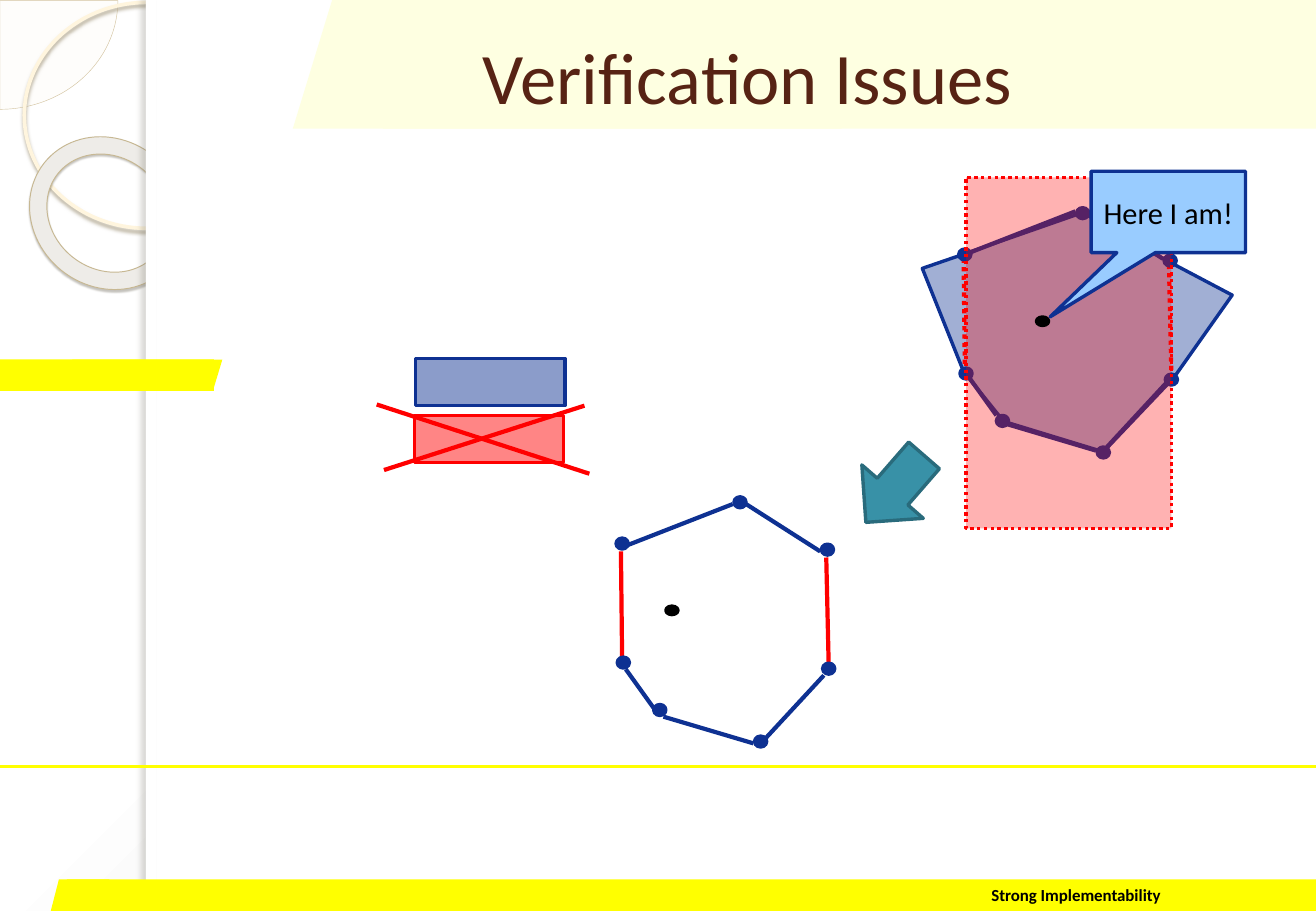
from lxml.etree import SubElement
from pptx import Presentation
from pptx.dml.color import RGBColor
from pptx.enum.dml import MSO_LINE
from pptx.enum.shapes import MSO_CONNECTOR, MSO_SHAPE
from pptx.enum.text import MSO_ANCHOR, PP_ALIGN
from pptx.oxml.ns import qn
from pptx.util import Inches, Pt

WHITE = RGBColor(0xFF, 0xFF, 0xFF)
BLACK = RGBColor(0, 0, 0)
GRAY = RGBColor(0xC5, 0xC5, 0xC5)
YELLOW = RGBColor(0xFF, 0xFF, 0)
RED = RGBColor(0xFF, 0, 0)
NAVY = RGBColor(0x0E, 0x31, 0x92)
SKY = RGBColor(0x99, 0xCC, 0xFF)
TEAL = RGBColor(0x38, 0x91, 0xA7)
DARK_TEAL = RGBColor(0x29, 0x6B, 0x7C)
IVORY = RGBColor(0xFE, 0xFF, 0xE1)
BROWN = RGBColor(0x57, 0x23, 0x14)
CREAM = RGBColor(0xFE, 0xFA, 0xF4)
TAN = RGBColor(0xD3, 0xC3, 0x9F)
RING = RGBColor(0xFF, 0xF5, 0xDE)
DONUT = RGBColor(0xEE, 0xEC, 0xE8)
DONUT_LINE = RGBColor(0xC7, 0xB8, 0x93)

prs = Presentation()
prs.slide_width, prs.slide_height = Inches(10.83), Inches(7.5)
s = prs.slides.add_slide(prs.slide_layouts[6])


def add_shape(kind, x, y, w, h, fill=None, line=None, width=2, alpha=None,
              adj=(), rot=0, shadow=None):
    sp = s.shapes.add_shape(kind, Inches(x), Inches(y), Inches(w), Inches(h))
    sp.rotation = rot
    for i, value in enumerate(adj):
        sp.adjustments[i] = value
    if fill is None:
        sp.fill.background()
    else:
        sp.fill.solid()
        sp.fill.fore_color.rgb = fill
    if alpha:
        color = sp.element.spPr.find(qn("a:solidFill"))[0]
        SubElement(color, qn("a:alpha"), val=str(alpha * 1000))
    if line is None:
        sp.line.fill.background()
    else:
        sp.line.color.rgb = line
        sp.line.width = Pt(width)
    sp.shadow.inherit = False
    if shadow:
        tone, opacity, blur, dist, angle = shadow
        effects = sp.element.spPr.find(qn("a:effectLst"))
        outer = SubElement(effects, qn("a:outerShdw"), blurRad=str(Pt(blur)),
                           dist=str(Pt(dist)), dir=str(angle * 60000),
                           algn="ctr", rotWithShape="0")
        color = SubElement(outer, qn("a:srgbClr"), val=tone)
        SubElement(color, qn("a:alpha"), val=str(opacity * 1000))
    return sp


def add_line(x1, y1, x2, y2, color, width=2.5):
    ln = s.shapes.add_connector(MSO_CONNECTOR.STRAIGHT, Inches(x1), Inches(y1),
                                Inches(x2), Inches(y2))
    ln.line.color.rgb = color
    ln.line.width = Pt(width)
    SubElement(ln.element.spPr, qn("a:effectLst"))
    return ln


bg = s.background.fill
bg.gradient()
bg.gradient_stops[0].color.rgb = WHITE
bg.gradient_stops[0].position = 0.4
bg.gradient_stops[1].color.rgb = GRAY
bg.gradient_stops[1].position = 1
grad = next(s.element.iter(qn("a:gradFill")))
grad.remove(grad.find(qn("a:lin")))
focus = SubElement(grad, qn("a:path"), path="circle")
SubElement(focus, qn("a:fillToRect"), l="-24000", t="-20000", r="124000", b="120000")

add_shape(MSO_SHAPE.PIE, -0.97, -0.89, 1.94, 1.79, CREAM, TAN, 0.25, 33, (0, 54))
add_shape(MSO_SHAPE.OVAL, 0.2, 0.02, 2.02, 1.86, None, RING, 2.15,
          shadow=("B0A68F", 85, 2, 2, 90))
add_shape(MSO_SHAPE.DONUT, 0.22, 1.15, 1.33, 1.21, DONUT, DONUT_LINE, 0.58,
          adj=(0.118,), rot=38.6, shadow=("5A5444", 35, 1, 1.2, 75))
add_shape(MSO_SHAPE.RECTANGLE, 1.2, 0, 9.63, 7.5, WHITE)
add_shape(MSO_SHAPE.RECTANGLE, 1.2, 0, 0.09, 7.5, WHITE,
          shadow=("736F63", 25, 3, 3, 180))

bands = [
    ((3.15, 0, 7.68, 1.06), (2.41, 0, 4.84, 1.06), 0.306, IVORY),
    ((0, 2.96, 1.76, 0.26), (0.52, 2.96, 1.31, 0.25), 0.301, YELLOW),
    ((0.55, 7.24, 10.28, 0.26), (0.41, 7.24, 0.49, 0.29), 0.259, YELLOW),
]
for bar, slant, skew, color in bands:
    add_shape(MSO_SHAPE.RECTANGLE, *bar, color)
    add_shape(MSO_SHAPE.PARALLELOGRAM, *slant, color, adj=(skew,))
add_line(0, 6.31, 10.83, 6.31, YELLOW, 2.25)

outline = [(8.91, 1.75), (7.91, 2.1), (7.59, 2.21), (7.93, 3.06), (8.26, 3.47),
           (9.08, 3.72), (9.66, 3.11), (10.14, 2.43), (9.61, 2.15)]
corners = [(Inches(x), Inches(y)) for x, y in outline]
builder = s.shapes.build_freeform(*corners[0])
builder.add_line_segments(corners[1:], close=True)
region = builder.convert_to_shape()
region.fill.solid()
region.fill.fore_color.rgb = NAVY
SubElement(region.element.spPr.find(qn("a:solidFill"))[0], qn("a:alpha"), val="39000")
region.line.color.rgb = NAVY
region.line.width = Pt(2)
region.shadow.inherit = False

add_shape(MSO_SHAPE.RECTANGLE, 3.41, 3.42, 1.23, 0.39, RED, RED, alpha=48)
add_shape(MSO_SHAPE.RECTANGLE, 3.42, 2.95, 1.23, 0.39, NAVY, NAVY, alpha=48)

title = s.shapes.add_textbox(Inches(1.71), Inches(0), Inches(8.88), Inches(1.25))
footer = s.shapes.add_textbox(Inches(8.06), Inches(6.98), Inches(2.77), Inches(0.52))

vertices = [(9.58, 2.1), (8.86, 1.71), (7.89, 2.05), (7.9, 3.03),
            (8.2, 3.42), (9.03, 3.68), (9.59, 3.08)]
cuts = [(7.93, 2.13, 7.94, 3.02), (9.62, 2.18, 9.64, 3.07)]
edges = [(7.98, 2.08, 8.85, 1.74), (8.28, 3.49, 9.02, 3.71), (9.11, 3.68, 9.6, 3.15),
         (7.97, 3.1, 8.2, 3.42), (8.96, 1.74, 9.57, 2.13)]
for dx, dy, gap, dash in [(0, 0, 0, MSO_LINE.ROUND_DOT), (-2.82, 2.38, 0.03, None)]:
    for x1, y1, x2, y2 in cuts + edges:
        is_cut = (x1, y1, x2, y2) in cuts
        ln = add_line(x1 + dx, y1 + dy + gap, x2 + dx, y2 + dy + gap,
                      RED if is_cut else NAVY)
        if is_cut and dash:
            ln.line.dash_style = dash
    for x, y in vertices:
        add_shape(MSO_SHAPE.OVAL, x + dx, y + dy, 0.1, 0.09, NAVY, NAVY)

strip = add_shape(MSO_SHAPE.RECTANGLE, 7.95, 1.46, 1.69, 2.89, RED, RED, alpha=30)
strip.line.dash_style = MSO_LINE.ROUND_DOT
for x, y in [(8.53, 2.61), (5.48, 4.99)]:
    add_shape(MSO_SHAPE.OVAL, x, y, 0.1, 0.07, BLACK, BLACK)
add_shape(MSO_SHAPE.DOWN_ARROW, 7.03, 3.66, 0.67, 0.73, TEAL, DARK_TEAL, rot=41)
add_line(4.81, 3.34, 3.16, 3.87, RED)
add_line(3.1, 3.33, 4.85, 3.9, RED)
callout = add_shape(MSO_SHAPE.RECTANGULAR_CALLOUT, 8.98, 1.41, 1.27, 0.67, SKY, NAVY,
                    adj=(-0.766, 1.29))
callout.text_frame.margin_left = callout.text_frame.margin_right = Inches(0.05)

labels = [
    (title, "Verification Issues", 43, BROWN, False, PP_ALIGN.CENTER, MSO_ANCHOR.MIDDLE),
    (footer, "Strong Implementability", 10, BLACK, True, PP_ALIGN.LEFT, MSO_ANCHOR.BOTTOM),
    (callout, "Here I am!", 18, BLACK, False, PP_ALIGN.CENTER, MSO_ANCHOR.MIDDLE),
]
for sp, text, size, color, bold, align, anchor in labels:
    tf = sp.text_frame
    tf.word_wrap = True
    tf.vertical_anchor = anchor
    p = tf.paragraphs[0]
    p.text = text
    p.alignment = align
    p.font.name = "Calibri"
    p.font.size = Pt(size)
    p.font.bold = bold
    p.font.color.rgb = color

prs.save("out.pptx")
